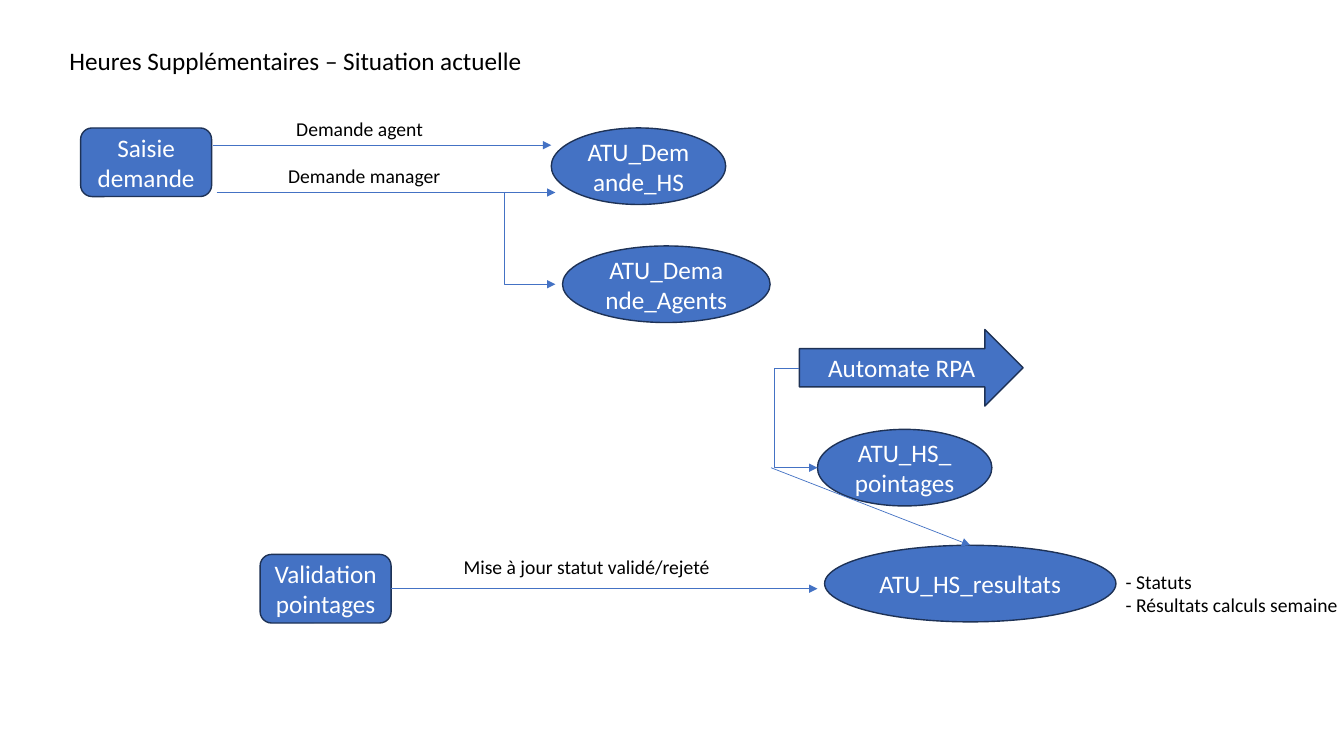
from lxml import etree
from pptx import Presentation
from pptx.dml.color import RGBColor
from pptx.enum import shapes, text
from pptx.oxml.ns import qn
from pptx.util import Pt

FONT = "Calibri"
BLUE, NAVY, WHITE, BLACK = "4472C4", "1E3256", "FFFFFF", "000000"
ROUND = shapes.MSO_SHAPE.ROUNDED_RECTANGLE
OVAL = shapes.MSO_SHAPE.OVAL
ARROW = shapes.MSO_SHAPE.RIGHT_ARROW
TOP, RIGHT = 0, 3

STEP_SIZE = (93.6, 49)
OVAL_HEIGHT = 54.7

# wording, preset shape, left, top, width, height
NODES = [
    ("Saisie demande", ROUND, 57.6, 91.4, *STEP_SIZE),
    ("ATU_Demande_HS", OVAL, 393.8, 91.4, 124.6, OVAL_HEIGHT),
    ("ATU_Demande_Agents", OVAL, 401.8, 175.7, 148.3, OVAL_HEIGHT),
    ("Automate RPA", ARROW, 571, 235.4, 159.8, OVAL_HEIGHT),
    ("ATU_HS_pointages", OVAL, 583.9, 306.7, 124.6, OVAL_HEIGHT),
    ("ATU_HS_resultats", OVAL, 589, 389.5, 208.1, OVAL_HEIGHT),
    ("Validation pointages", ROUND, 185.8, 396, *STEP_SIZE),
]

# lines of wording, size, left, top, width, height
LABELS = [
    (["Heures Supplémentaires – Situation actuelle"], 18, 42.5, 28.8, 404.6, 28.8),
    (["Demande agent"], 14, 204.5, 79.9, 142.6, 24.5),
    (["Demande manager"], 14, 198.7, 113.8, 142.6, 24.5),
    (["Mise à jour statut validé/rejeté"], 14, 324, 393.1, 200.9, 24.5),
    (["- Statuts", "- Résultats calculs semaine"], 14, 797, 403.2, 173.5, 41),
]

# start, end, x of the bend (None when straight), joined start, joined end
FLOWS = [
    ((151.9, 103.7), (393.8, 103.7), None, None, None),
    ((154.8, 137.5), (396.7, 137.5), None, None, None),
    ((324, 137.5), (396.7, 203), 360.3, None, None),
    ((571, 262.8), (583.9, 334.1), 553, None, None),
    ((550.8, 334.1), (693, 389.5), None, None, ("ATU_HS_resultats", TOP)),
    ((279.4, 420.5), (583.9, 420.5), None, ("Validation pointages", RIGHT), None),
]


def color(value):
    return RGBColor.from_string(value)


def write(frame, lines, size, ink, align=text.PP_ALIGN.LEFT):
    frame.word_wrap = True
    for number, line in enumerate(lines):
        para = frame.paragraphs[0] if number == 0 else frame.add_paragraph()
        para.alignment = align
        span = para.add_run()
        span.text = line
        span.font.name = FONT
        span.font.size = Pt(size)
        span.font.color.rgb = color(ink)


def add_node(page, wording, preset, *place):
    node = page.shapes.add_shape(preset, *map(Pt, place))
    node.shadow.inherit = False
    node.fill.solid()
    node.fill.fore_color.rgb = color(BLUE)
    node.line.color.rgb = color(NAVY)
    node.line.width = Pt(1)
    node.text_frame.vertical_anchor = text.MSO_ANCHOR.MIDDLE
    write(node.text_frame, [wording], 18, WHITE, text.PP_ALIGN.CENTER)
    return node


def add_label(page, lines, size, *place):
    box = page.shapes.add_textbox(*map(Pt, place))
    box.text_frame.auto_size = text.MSO_AUTO_SIZE.SHAPE_TO_FIT_TEXT
    write(box.text_frame, lines, size, BLACK)


def add_flow(page, nodes, start, end, bend, source, target):
    kinds = shapes.MSO_CONNECTOR
    kind = kinds.STRAIGHT if bend is None else kinds.ELBOW
    flow = page.shapes.add_connector(kind, *map(Pt, start + end))
    if source:
        flow.begin_connect(nodes[source[0]], source[1])
    if target:
        flow.end_connect(nodes[target[0]], target[1])
    flow.line.color.rgb = color(BLUE)
    flow.line.width = Pt(0.5)
    properties = flow._element.spPr
    etree.SubElement(properties.find(qn("a:ln")), qn("a:tailEnd"), type="triangle")
    etree.SubElement(properties, qn("a:effectLst"))
    if bend is not None:
        ratio = round((bend - start[0]) / (end[0] - start[0]) * 100000)
        guides = properties.find(qn("a:prstGeom")).find(qn("a:avLst"))
        etree.SubElement(guides, qn("a:gd"), name="adj1", fmla=f"val {ratio}")


def main():
    deck = Presentation()
    deck.slide_width, deck.slide_height = Pt(960), Pt(540)
    page = deck.slides.add_slide(deck.slide_layouts[6])
    nodes = {node[0]: add_node(page, *node) for node in NODES}
    for flow in FLOWS:
        add_flow(page, nodes, *flow)
    for label in LABELS:
        add_label(page, *label)
    deck.save("out.pptx")


if __name__ == "__main__":
    main()
